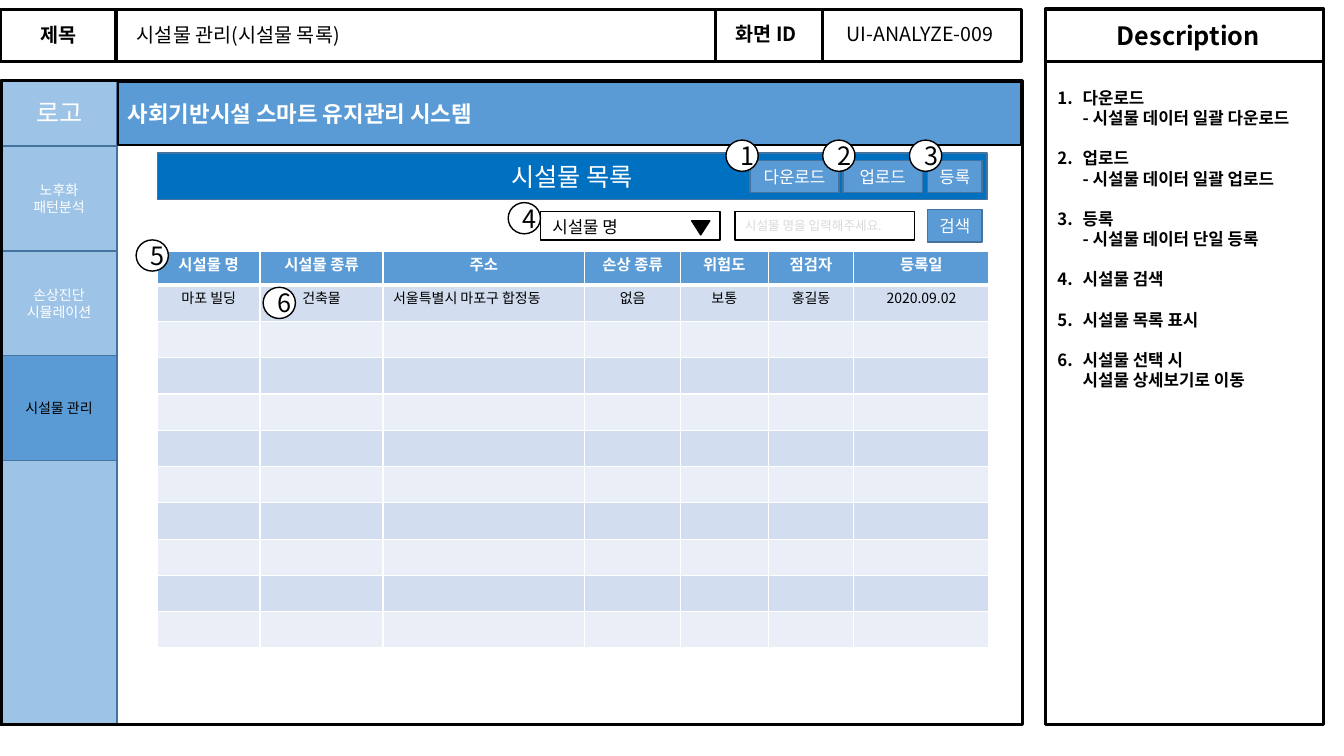
import pptx
import pptx.util
import pptx.dml.color
import pptx.enum.shapes
import pptx.enum.text
import pptx.oxml.ns
import lxml.etree

Inches = pptx.util.Inches
Pt = pptx.util.Pt
RGBColor = pptx.dml.color.RGBColor
SHAPE = pptx.enum.shapes.MSO_SHAPE
ALIGN = pptx.enum.text.PP_ALIGN
ANCHOR = pptx.enum.text.MSO_ANCHOR
qn = pptx.oxml.ns.qn

FONT = "Noto Sans CJK KR"
BLACK = RGBColor(0x00, 0x00, 0x00)
WHITE = RGBColor(0xFF, 0xFF, 0xFF)
HINT_GRAY = RGBColor(0xD9, 0xD9, 0xD9)
BLUE = RGBColor(0x5B, 0x9B, 0xD5)
TITLE_BLUE = RGBColor(0x00, 0x70, 0xC0)
MENU_BLUE = RGBColor(0x9D, 0xC3, 0xE6)
EDGE_BLUE = RGBColor(0x43, 0x73, 0x9E)
BAND_DARK = RGBColor(0xD2, 0xDE, 0xEF)
BAND_LIGHT = RGBColor(0xEA, 0xEF, 0xF7)

deck = pptx.Presentation()
deck.slide_width = Inches(13.33)
deck.slide_height = Inches(7.5)
page = deck.slides.add_slide(deck.slide_layouts[6])


def write_text(frame, text, size, color=BLACK, bold=False, align=ALIGN.LEFT):
    frame.word_wrap = True
    frame.text = text
    for para in frame.paragraphs:
        para.alignment = align
        para.line_spacing = Pt(size * 1.2)
        for span in para.runs:
            span.font.name = FONT
            span.font.size = Pt(size)
            span.font.bold = bold
            span.font.color.rgb = color
            east_asian = lxml.etree.SubElement(span._r.get_or_add_rPr(), qn("a:ea"))
            east_asian.set("typeface", FONT)


def add_box(place, fill=None, line=EDGE_BLUE, width=1, kind=SHAPE.RECTANGLE):
    box = page.shapes.add_shape(kind, *map(Inches, place))
    box.shadow.inherit = False
    if fill is None:
        box.fill.background()
    else:
        box.fill.solid()
        box.fill.fore_color.rgb = fill
    box.line.color.rgb = line
    box.line.width = Pt(width)
    return box


add_box((0, 0.09, 10.13, 0.52), line=BLACK, width=2.25)
add_box((10.37, 0.09, 2.76, 7.1), line=BLACK, width=2.25)
for left, top, right, bottom in [
    (10.37, 0.61, 13.12, 0.61),
    (1.15, 0.09, 1.15, 0.61),
    (7.1, 0.09, 7.1, 0.61),
    (8.16, 0.09, 8.16, 0.61),
]:
    divider = page.shapes.add_connector(
        pptx.enum.shapes.MSO_CONNECTOR.STRAIGHT,
        Inches(left), Inches(top), Inches(right), Inches(bottom))
    divider.line.color.rgb = BLACK
    divider.line.width = Pt(2.25)
    lxml.etree.SubElement(divider._element.spPr, qn("a:effectLst"))

add_box((0.02, 0.81, 1.14, 6.39), MENU_BLUE)
menu = [
    ("노후화\n패턴분석", MENU_BLUE, WHITE),
    ("손상진단\n시뮬레이션", MENU_BLUE, WHITE),
    ("시설물 관리", BLUE, BLACK),
]
for index, (label, fill, color) in enumerate(menu):
    item = add_box((0.01, 1.45 + 1.04 * index, 1.15, 1.04), fill)
    write_text(item.text_frame, label, 10, color, align=ALIGN.CENTER)

add_box((0.01, 0.8, 10.13, 6.39), line=BLACK, width=2.25)
banner = add_box((1.17, 0.81, 8.96, 0.63), BLUE, BLACK, 1.5)
write_text(banner.text_frame, "사회기반시설 스마트 유지관리 시스템", 16, WHITE, True)
list_title = add_box((1.56, 1.52, 8.23, 0.46), TITLE_BLUE)
write_text(list_title.text_frame, "시설물 목록", 18, WHITE, align=ALIGN.CENTER)

for label, left, top, width in [
    ("다운로드", 7.44, 1.59, 0.88),
    ("업로드", 8.36, 1.59, 0.79),
    ("등록", 9.2, 1.59, 0.54),
    ("검색", 9.2, 2.08, 0.54),
]:
    button = add_box((left, top, width, 0.32), BLUE)
    write_text(button.text_frame, label, 12, WHITE, align=ALIGN.CENTER)

add_box((5.36, 2.1, 1.78, 0.28), WHITE, BLACK)
add_box((6.86, 2.19, 0.18, 0.14), BLACK, BLACK, kind=SHAPE.FLOWCHART_MERGE)
search_field = add_box((7.29, 2.1, 1.78, 0.28), WHITE, BLACK)
write_text(search_field.text_frame, "시설물 명을 입력해주세요.", 9, HINT_GRAY)

for text, place, size, color, bold, align in [
    ("제목", (0.05, 0.18, 1.06, 0.34), 14, BLACK, True, ALIGN.CENTER),
    ("시설물 관리(시설물 목록)", (1.26, 0.18, 3.89, 0.34), 14, BLACK, False, ALIGN.LEFT),
    ("화면 ID", (7.2, 0.17, 1.06, 0.34), 14, BLACK, True, ALIGN.LEFT),
    ("UI-ANALYZE-009", (8.3, 0.17, 2.07, 0.34), 14, BLACK, False, ALIGN.LEFT),
    ("Description", (10.98, 0.15, 2.4, 0.4), 18, BLACK, True, ALIGN.LEFT),
    ("로고", (0.26, 0.92, 0.78, 0.4), 18, WHITE, False, ALIGN.LEFT),
    ("시설물 명", (5.38, 2.1, 1.19, 0.3), 12, BLACK, False, ALIGN.LEFT),
]:
    label_box = page.shapes.add_textbox(*map(Inches, place))
    write_text(label_box.text_frame, text, size, color, bold, align)

notes = [
    "다운로드\v- 시설물 데이터 일괄 다운로드",
    "업로드\v- 시설물 데이터 일괄 업로드",
    "등록\v- 시설물 데이터 단일 등록",
    "시설물 검색",
    "시설물 목록 표시",
    "시설물 선택 시\v시설물 상세보기로 이동",
]
description = page.shapes.add_textbox(Inches(10.39), Inches(0.82), Inches(2.86), Inches(3.13))
write_text(description.text_frame, "\n".join(notes), 12, bold=True)
for index, para in enumerate(description.text_frame.paragraphs):
    if index:
        para.space_before = Pt(14.4)
    properties = para._p.get_or_add_pPr()
    properties.set("marL", str(Inches(0.25)))
    properties.set("indent", str(-Inches(0.25)))
    number = lxml.etree.SubElement(properties, qn("a:buAutoNum"))
    number.set("type", "arabicPeriod")

headers = ["시설물 명", "시설물 종류", "주소", "손상 종류", "위험도", "점검자", "등록일"]
facility = ["마포 빌딩", "건축물", "서울특별시 마포구 합정동", "없음", "보통", "홍길동", "2020.09.02"]
rows = [headers, facility] + [[""] * len(headers)] * 9
column_widths = [1.02, 1.22, 2, 0.95, 0.87, 0.85, 1.34]
table = page.shapes.add_table(
    len(rows), len(headers), Inches(1.56), Inches(2.49), Inches(8.23), Inches(3.94)).table
for column, width in zip(table.columns, column_widths):
    column.width = Inches(width)
for row_index, values in enumerate(rows):
    is_header = row_index == 0
    table.rows[row_index].height = Inches(0.34 if is_header else 0.36)
    for column_index, value in enumerate(values):
        cell = table.cell(row_index, column_index)
        align = ALIGN.LEFT if value == facility[2] else ALIGN.CENTER
        write_text(cell.text_frame, value, 11 if is_header else 10,
                   WHITE if is_header else BLACK, is_header, align)
        if not value:
            ending = lxml.etree.SubElement(cell.text_frame.paragraphs[0]._p, qn("a:endParaRPr"))
            ending.set("sz", "1000")
        thick_side = {0: "a:lnB", 1: "a:lnT"}.get(row_index)
        for side in ("a:lnL", "a:lnR", "a:lnT", "a:lnB"):
            border = lxml.etree.SubElement(cell._tc.get_or_add_tcPr(), qn(side))
            border.set("w", str(Pt(3 if side == thick_side else 1)))
            paint = lxml.etree.SubElement(border, qn("a:solidFill"))
            lxml.etree.SubElement(paint, qn("a:srgbClr")).set("val", str(WHITE))
        cell.fill.solid()
        cell.fill.fore_color.rgb = BLUE if is_header else BAND_DARK if row_index % 2 else BAND_LIGHT

marker_corners = [(7.2, 1.39), (8.16, 1.39), (9.02, 1.39), (5.04, 2.01), (1.35, 2.38), (2.61, 2.85)]
for number, (left, top) in enumerate(marker_corners, 1):
    marker = add_box((left, top, 0.32, 0.31), WHITE, BLACK, kind=SHAPE.OVAL)
    write_text(marker.text_frame, str(number), 18, align=ALIGN.CENTER)

deck.save("out.pptx")
